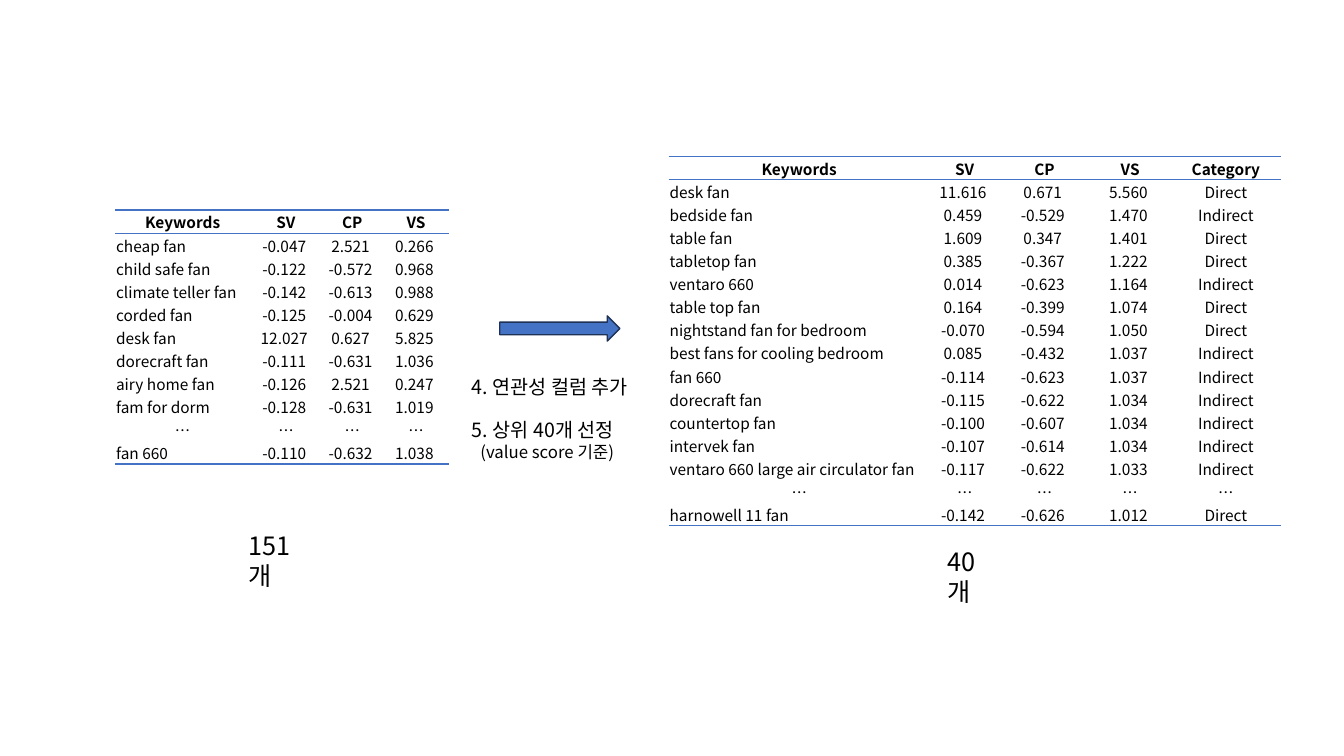
import lxml.etree
import pptx
import pptx.dml.color
import pptx.enum.shapes
import pptx.enum.text
import pptx.oxml.ns
import pptx.util

CENTER = pptx.enum.text.PP_ALIGN.CENTER
LEFT = pptx.enum.text.PP_ALIGN.LEFT
MIDDLE = pptx.enum.text.MSO_ANCHOR.MIDDLE
NO_STYLE = "{2D5ABB26-0587-4C30-8999-92F81FD0307C}"

CANDIDATES = [
    ("Keywords", "SV", "CP", "VS"),
    ("cheap fan", -0.047, 2.521, 0.266),
    ("child safe fan", -0.122, -0.572, 0.968),
    ("climate teller fan", -0.142, -0.613, 0.988),
    ("corded fan", -0.125, -0.004, 0.629),
    ("desk fan", 12.027, 0.627, 5.825),
    ("dorecraft fan", -0.111, -0.631, 1.036),
    ("airy home fan", -0.126, 2.521, 0.247),
    ("fam for dorm", -0.128, -0.631, 1.019),
    ("…",) * 4,
    ("fan 660", -0.110, -0.632, 1.038),
]
SELECTED = [
    ("Keywords", "SV", "CP", "VS", "Category"),
    ("desk fan", 11.616, 0.671, 5.560, "Direct"),
    ("bedside fan", 0.459, -0.529, 1.470, "Indirect"),
    ("table fan", 1.609, 0.347, 1.401, "Direct"),
    ("tabletop fan", 0.385, -0.367, 1.222, "Direct"),
    ("ventaro 660", 0.014, -0.623, 1.164, "Indirect"),
    ("table top fan", 0.164, -0.399, 1.074, "Direct"),
    ("nightstand fan for bedroom", -0.070, -0.594, 1.050, "Direct"),
    ("best fans for cooling bedroom", 0.085, -0.432, 1.037, "Indirect"),
    ("fan 660", -0.114, -0.623, 1.037, "Indirect"),
    ("dorecraft fan", -0.115, -0.622, 1.034, "Indirect"),
    ("countertop fan", -0.100, -0.607, 1.034, "Indirect"),
    ("intervek fan", -0.107, -0.614, 1.034, "Indirect"),
    ("ventaro 660 large air circulator fan", -0.117, -0.622, 1.033, "Indirect"),
    ("…",) * 5,
    ("harnowell 11 fan", -0.142, -0.626, 1.012, "Direct"),
]


def color(value):
    return pptx.dml.color.RGBColor.from_string(value)


def write(p, text, size=11, bold=False, align=LEFT, before=0, indent=0, font="Noto Sans CJK KR", fill="000000"):
    p.alignment = align
    p.space_before = pptx.util.Pt(before)
    if indent:
        p._p.get_or_add_pPr().set("marL", str(pptx.util.Pt(indent)))
    r = p.add_run()
    r.text = text
    r.font.size = pptx.util.Pt(size)
    r.font.bold = bold
    r.font.color.rgb = color(fill)
    r.font.name = font
    rPr = r._r.get_or_add_rPr()
    lxml.etree.SubElement(rPr, pptx.oxml.ns.qn("a:ea"), typeface=font)


class Board:
    """Draws elements on one slide laid out on a grid of 160 columns by 90 rows."""

    blue = "4472C4"
    navy = "1E3256"
    row_height = 2.75

    def __init__(self, prs):
        self.col = prs.slide_width / 160
        self.row = prs.slide_height / 90
        self.s = prs.slides.add_slide(prs.slide_layouts[6])

    def box(self, x, y, w, h):
        return int(x * self.col), int(y * self.row), int(w * self.col), int(h * self.row)

    def text(self, x, y, w, h, *paragraphs):
        tf = self.s.shapes.add_textbox(*self.box(x, y, w, h)).text_frame
        tf.word_wrap = True
        for i, (text, style) in enumerate(paragraphs):
            write(tf.add_paragraph() if i else tf.paragraphs[0], text, **style)

    def arrow(self, x, y, w, h):
        kind = pptx.enum.shapes.MSO_SHAPE.RIGHT_ARROW
        sp = self.s.shapes.add_shape(kind, *self.box(x, y, w, h))
        sp.shadow.inherit = False
        sp.fill.solid()
        sp.fill.fore_color.rgb = color(self.blue)
        sp.line.color.rgb = color(self.navy)
        sp.line.width = pptx.util.Pt(1)

    def border(self, cell, side):
        qn = pptx.oxml.ns.qn
        tcPr = cell._tc.get_or_add_tcPr()
        ln = lxml.etree.SubElement(tcPr, qn("a:ln" + side), w=str(pptx.util.Pt(1)))
        fill = lxml.etree.SubElement(ln, qn("a:solidFill"))
        lxml.etree.SubElement(fill, qn("a:srgbClr"), val=self.blue)

    def cell(self, cell, value, header, last, centered):
        cell.vertical_anchor = MIDDLE
        cell.margin_left = cell.margin_right = cell.margin_top = pptx.util.Inches(0.01)
        cell.margin_bottom = 0
        if header:
            self.border(cell, "T")
        if header or last:
            self.border(cell, "B")
        cell.fill.background()
        text = f"{value:.3f} " if isinstance(value, float) else value
        write(cell.text_frame.paragraphs[0], text, bold=header, align=CENTER if centered else LEFT)

    def table(self, x, y, widths, rows):
        frame = self.box(x, y, sum(widths), self.row_height * len(rows))
        tbl = self.s.shapes.add_table(len(rows), len(widths), *frame).table
        tbl.first_row = tbl.horz_banding = False
        tbl._tbl.tblPr.find(pptx.oxml.ns.qn("a:tableStyleId")).text = NO_STYLE
        for column, width in zip(tbl.columns, widths):
            column.width = int(width * self.col)
        for i, values in enumerate(rows):
            tbl.rows[i].height = int(self.row_height * self.row)
            for j, value in enumerate(values):
                centered = i == 0 or j > 0 or value == "…"
                self.cell(tbl.cell(i, j), value, i == 0, i == len(rows) - 1, centered)


def main():
    prs = pptx.Presentation()
    prs.slide_width = pptx.util.Inches(13.33)
    prs.slide_height = pptx.util.Inches(7.5)
    board = Board(prs)
    board.text(28.4, 62.5, 9.6, 8.4, ("151개", dict(size=18)))
    board.table(13.7, 25, (16.1, 8.5, 7.3, 7.9), CANDIDATES)
    board.table(79.6, 18.6, (31.1, 8.3, 10.7, 9.7, 13.1), SELECTED)
    board.text(111.6, 64.4, 7.8, 8.4, ("40개", dict(size=18)))
    board.arrow(59.5, 37.6, 14.3, 3)
    board.text(
        55, 44, 23.2, 11.8,
        ("4. 연관성 컬럼 추가", dict(size=14)),
        ("5. 상위 40개 선정", dict(size=14, before=14.4)),
        ("(value score 기준)", dict(size=12, indent=6)),
    )
    prs.save("out.pptx")


if __name__ == "__main__":
    main()
